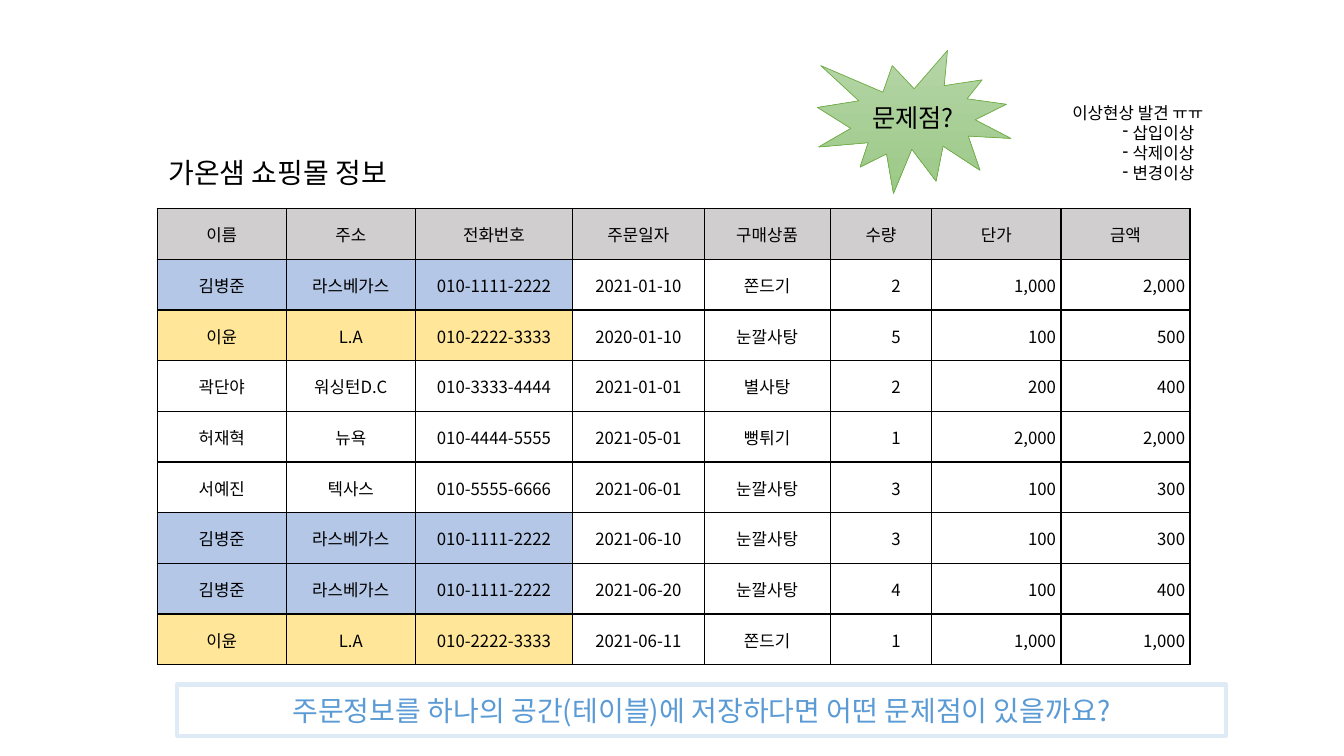
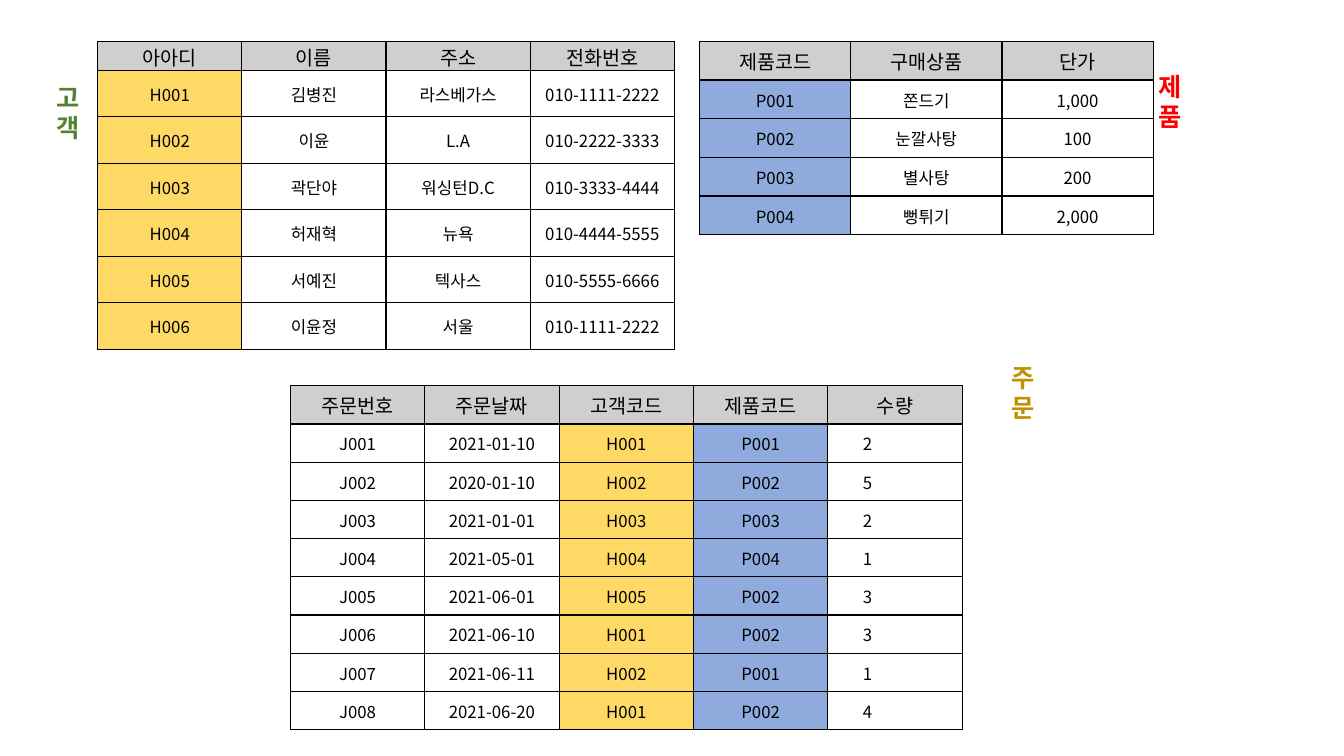
from lxml import etree
from pptx import Presentation
from pptx.dml.color import RGBColor
from pptx.enum.shapes import MSO_SHAPE
from pptx.enum.text import MSO_ANCHOR, MSO_AUTO_SIZE, PP_ALIGN
from pptx.oxml.ns import qn
from pptx.util import Pt

LEFT, CENTER, RIGHT = PP_ALIGN.LEFT, PP_ALIGN.CENTER, PP_ALIGN.RIGHT
TOP, MIDDLE = MSO_ANCHOR.TOP, MSO_ANCHOR.MIDDLE
FIT_SHAPE = MSO_AUTO_SIZE.SHAPE_TO_FIT_TEXT
BURST, RECTANGLE = MSO_SHAPE.EXPLOSION1, MSO_SHAPE.RECTANGLE
TITLE_ONLY, BLANK = 5, 6

FONT = "Noto Sans CJK KR"
CELL_INSET = 0.7
COLOURS = {
    "text": "000000",
    "header": "D0CECE",
    "pale blue": "B4C7E7",
    "pale yellow": "FFE699",
    "blue": "8FAADC",
    "yellow": "FFD966",
    "burst top": "B5D5A7",
    "burst bottom": "9CC987",
    "burst line": "70AD47",
    "question": "5B9BD5",
    "question line": "DEEBF7",
    "customer": "548235",
    "product": "FF0000",
    "order": "BF9000",
}

# Name, address, phone, date, product, quantity, unit price
SALES = [
    ("김병준", "라스베가스", "010-1111-2222", "2021-01-10", "쫀드기", 2, 1000),
    ("이윤", "L.A", "010-2222-3333", "2020-01-10", "눈깔사탕", 5, 100),
    ("곽단야", "워싱턴D.C", "010-3333-4444", "2021-01-01", "별사탕", 2, 200),
    ("허재혁", "뉴욕", "010-4444-5555", "2021-05-01", "뻥튀기", 1, 2000),
    ("서예진", "텍사스", "010-5555-6666", "2021-06-01", "눈깔사탕", 3, 100),
    ("김병준", "라스베가스", "010-1111-2222", "2021-06-10", "눈깔사탕", 3, 100),
    ("김병준", "라스베가스", "010-1111-2222", "2021-06-20", "눈깔사탕", 4, 100),
    ("이윤", "L.A", "010-2222-3333", "2021-06-11", "쫀드기", 1, 1000),
]
SALES_HEADER = ("이름", "주소", "전화번호", "주문일자", "구매상품", "수량", "단가", "금액")
REPEAT_BUYERS = {"김병준": "pale blue", "이윤": "pale yellow"}

CUSTOMERS = [
    ("아아디", "이름", "주소", "전화번호"),
    ("H001", "김병진", "라스베가스", "010-1111-2222"),
    ("H002", "이윤", "L.A", "010-2222-3333"),
    ("H003", "곽단야", "워싱턴D.C", "010-3333-4444"),
    ("H004", "허재혁", "뉴욕", "010-4444-5555"),
    ("H005", "서예진", "텍사스", "010-5555-6666"),
    ("H006", "이윤정", "서울", "010-1111-2222"),
]
PRODUCTS = [
    ("제품코드", "구매상품", "단가"),
    ("P001", "쫀드기", "1,000"),
    ("P002", "눈깔사탕", "100"),
    ("P003", "별사탕", "200"),
    ("P004", "뻥튀기", "2,000"),
]
ORDERS = [
    ("주문번호", "주문날짜", "고객코드", "제품코드", "수량"),
    ("J001", "2021-01-10", "H001", "P001", "2"),
    ("J002", "2020-01-10", "H002", "P002", "5"),
    ("J003", "2021-01-01", "H003", "P003", "2"),
    ("J004", "2021-05-01", "H004", "P004", "1"),
    ("J005", "2021-06-01", "H005", "P002", "3"),
    ("J006", "2021-06-10", "H001", "P002", "3"),
    ("J007", "2021-06-11", "H002", "P001", "1"),
    ("J008", "2021-06-20", "H001", "P002", "4"),
]
KEY_FILLS = {"H": "yellow", "P": "blue"}


def colour(name):
    return RGBColor.from_string(COLOURS[name])


def format_para(para, size, colour_name="text", align=LEFT, bold=False):
    para.alignment = align
    font = para.font
    font.name, font.size, font.bold = FONT, Pt(size), bold
    font.color.rgb = colour(colour_name)
    properties = para._p.pPr.find(qn("a:defRPr"))
    etree.SubElement(properties, qn("a:ea"), typeface=FONT)


def set_dash_bullet(para, indent, hang):
    properties = para._p.get_or_add_pPr()
    properties.set("marL", str(Pt(indent + hang)))
    properties.set("indent", str(-Pt(hang)))
    bullet = etree.Element(qn("a:buChar"), char="-")
    properties.find(qn("a:defRPr")).addprevious(bullet)


def add_borders(cell):
    properties = cell._tc.get_or_add_tcPr()
    for side in ("lnL", "lnR", "lnT", "lnB"):
        line = etree.SubElement(properties, qn(f"a:{side}"), w=str(Pt(1)))
        fill = etree.SubElement(line, qn("a:solidFill"))
        etree.SubElement(fill, qn("a:srgbClr"), val=COLOURS["text"])


def format_cell(cell, text, size, fill_name, align=CENTER, left=CELL_INSET, right=CELL_INSET):
    cell.margin_left, cell.margin_right = Pt(left), Pt(right)
    cell.margin_top, cell.margin_bottom = Pt(CELL_INSET), 0
    cell.vertical_anchor = MIDDLE
    cell.text = text
    format_para(cell.text_frame.paragraphs[0], size, align=align)
    add_borders(cell)
    if fill_name:
        cell.fill.solid()
        cell.fill.fore_color.rgb = colour(fill_name)
    else:
        cell.fill.background()


def add_data_table(page, left, top, widths, heights, rows, fill_for, header_size, columns):
    """Draw rows; fill_for(row, index) names a body fill, columns holds body cell settings."""
    frame = page.shapes.add_table(
        len(rows), len(widths), Pt(left), Pt(top), Pt(sum(widths)), Pt(sum(heights)))
    table = frame.table
    table.first_row = table.horz_banding = False
    for column, width in zip(table.columns, widths):
        column.width = Pt(width)
    for row_index, (row, height) in enumerate(zip(rows, heights)):
        table.rows[row_index].height = Pt(height)
        for index, text in enumerate(row):
            cell = table.cell(row_index, index)
            if row_index == 0:
                format_cell(cell, text, header_size, "header")
            else:
                format_cell(cell, text, 12, fill_for(row, index), **columns.get(index, {}))


def buyer_fill(row, index):
    return REPEAT_BUYERS.get(row[0]) if index < 3 else None


def key_fill(row, index):
    """Colour customer and product codes by their first letter."""
    text = row[index]
    return KEY_FILLS.get(text[0]) if text[1:].isdigit() else None


def place_title(page, text, left, top, width, height):
    title = page.shapes.title
    title.left, title.top, title.width, title.height = map(Pt, (left, top, width, height))
    frame = title.text_frame
    frame.text = text
    frame.word_wrap, frame.auto_size = False, FIT_SHAPE
    frame.vertical_anchor = TOP
    format_para(frame.paragraphs[0], 20, align=CENTER)


def add_text(page, lines, left, top, width, height, size, colour_name="text", bold=False):
    """Add a text box; every line after the first is a dash bullet."""
    box = page.shapes.add_textbox(Pt(left), Pt(top), Pt(width), Pt(height))
    frame = box.text_frame
    frame.word_wrap, frame.auto_size = True, FIT_SHAPE
    frame.text = "\n".join(lines)
    for index, para in enumerate(frame.paragraphs):
        format_para(para, size, colour_name, bold=bold)
        if index:
            para.level = 1
            set_dash_bullet(para, 36, 7)


def add_callout(page, preset, text, left, top, width, height, size, text_colour, line, line_width):
    shape = page.shapes.add_shape(preset, Pt(left), Pt(top), Pt(width), Pt(height))
    shape.shadow.inherit = False
    shape.fill.background()
    shape.line.color.rgb = colour(line)
    shape.line.width = Pt(line_width)
    frame = shape.text_frame
    frame.word_wrap, frame.vertical_anchor = False, MIDDLE
    frame.text = text
    format_para(frame.paragraphs[0], size, text_colour, CENTER)
    return shape


def fill_gradient_down(shape, first, last):
    shape.fill.gradient()
    shape.fill.gradient_angle = 270
    for stop, name in zip(shape.fill.gradient_stops, (first, last)):
        stop.color.rgb = colour(name)


def build_single_table_page(deck):
    page = deck.slides.add_slide(deck.slide_layouts[TITLE_ONLY])
    place_title(page, "가온샘 쇼핑몰 정보", 103.7, 107.3, 189.4, 31.7)
    rows = [SALES_HEADER]
    for *details, quantity, price in SALES:
        rows.append((*details, str(quantity), f"{price:,}", f"{quantity * price:,}"))
    money = {"align": RIGHT, "right": 3.5}
    add_data_table(
        page, 112.3, 149, [92.2, 92.2, 112.4, 93.9, 90, 72.7, 92.2, 92.2],
        [36.2] * len(rows), rows, buyer_fill, 12,
        {5: {"left": 22}, 6: money, 7: money})
    burst = add_callout(page, BURST, "문제점?", 583.9, 36, 138.2, 102.2,
                        18, "text", "burst line", 0.5)
    fill_gradient_down(burst, "burst top", "burst bottom")
    add_callout(page, RECTANGLE,
                "주문정보를 하나의 공간(테이블)에 저장하다면 어떤 문제점이 있을까요?",
                126.7, 488.9, 748.8, 36.7, 20, "question", "question line", 3)
    add_text(page, ["이상현상 발견 ㅠㅠ", "삽입이상", "삭제이상", "변경이상"],
             758.9, 69.8, 153.4, 65.5, 12)


def build_split_tables_page(deck):
    page = deck.slides.add_slide(deck.slide_layouts[BLANK])
    tables = [
        (CUSTOMERS, 69.8, 29.5, 103, [20.7] + [33.25] * 6, {}),
        (PRODUCTS, 499.7, 29.5, 108, [27.65] * 5, {}),
        (ORDERS, 207.4, 275.5, 96, [27.3] * 9, {4: {"align": LEFT, "left": 25}}),
    ]
    for rows, left, top, width, heights, columns in tables:
        add_data_table(page, left, top, [width] * len(rows[0]), heights, rows,
                       key_fill, 14, columns)
    labels = [
        ("고객", 33.1, 55.4, "customer"),
        ("제품", 820.1, 47.5, "product"),
        ("주문", 715.7, 254.9, "order"),
    ]
    for text, left, top, colour_name in labels:
        add_text(page, [text], left, top, 42.5, 51.1, 18, colour_name, bold=True)


def main():
    deck = Presentation()
    deck.slide_width, deck.slide_height = Pt(960), Pt(540)
    build_single_table_page(deck)
    build_split_tables_page(deck)
    deck.save("out.pptx")


if __name__ == "__main__":
    main()
